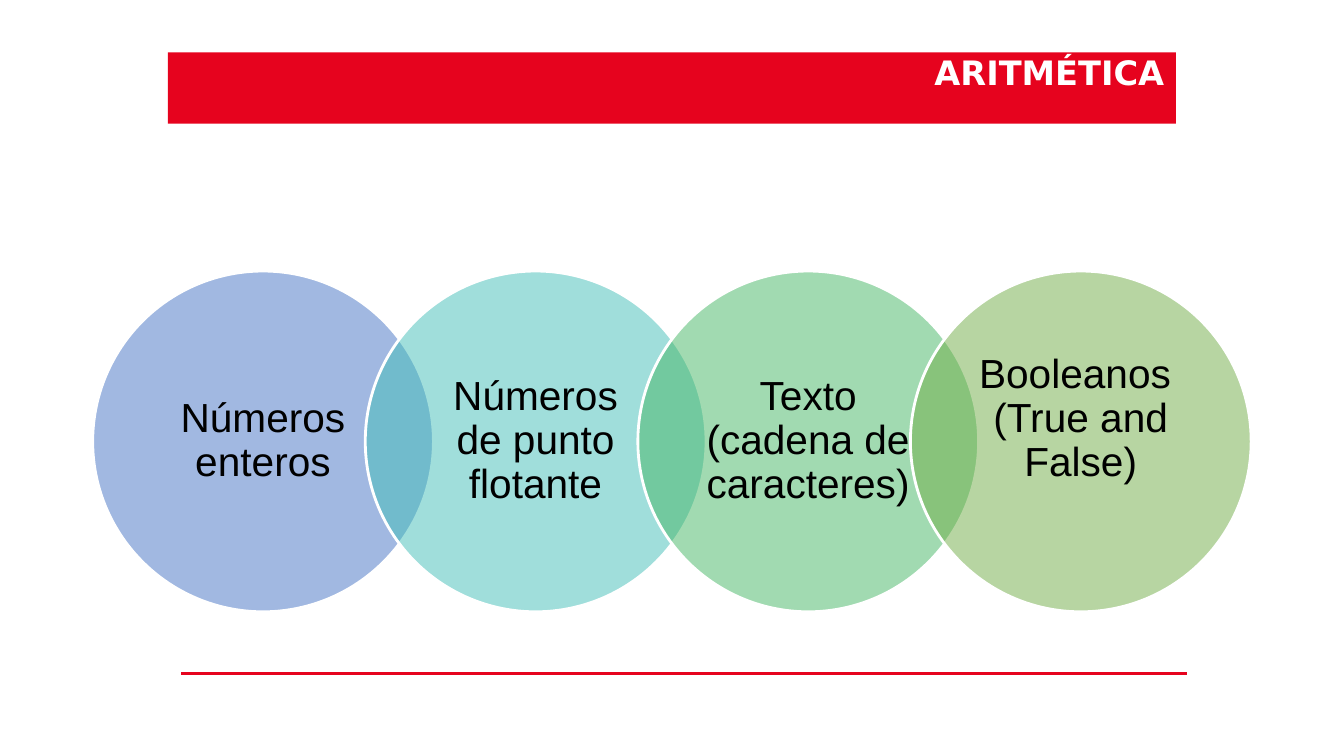
from lxml import etree
from pptx import Presentation
from pptx.dml.color import RGBColor
from pptx.enum.shapes import MSO_CONNECTOR, MSO_SHAPE
from pptx.enum.text import MSO_ANCHOR, MSO_AUTO_SIZE, PP_ALIGN
from pptx.oxml.ns import qn
from pptx.util import Pt

ELLIPSE = MSO_SHAPE.OVAL
STRAIGHT = MSO_CONNECTOR.STRAIGHT
TOP, MIDDLE = MSO_ANCHOR.TOP, MSO_ANCHOR.MIDDLE
CENTER, RIGHT = PP_ALIGN.CENTER, PP_ALIGN.RIGHT
NO_FIT = MSO_AUTO_SIZE.NONE

RED, WHITE, BLACK = "E6031E", "FFFFFF", "000000"
DIAMETER, PITCH = 243.4, 194.7
FIRST_LEFT, CIRCLE_TOP = 66.2, 193.6
EMPTY_LINE = 31.4

DATA_TYPES = [
    ("Números enteros", "4472C4", 0),
    ("Números de punto flotante", "43BEB9", 0),
    ("Texto (cadena de caracteres)", "45B664", 0),
    ("Booleanos \v(True and False)", "70AD47", EMPTY_LINE),
]


def set_attrs(obj, values):
    for name, value in values.items():
        setattr(obj, name, value)


def paint(color_format, color):
    color_format.rgb = RGBColor.from_string(color)


def fill_shape(shape, color, alpha=None):
    shape.fill.solid()
    paint(shape.fill.fore_color, color)
    if alpha is not None:
        srgb = shape._element.spPr.find(qn("a:solidFill")).find(qn("a:srgbClr"))
        etree.SubElement(srgb, qn("a:alpha")).set("val", str(alpha * 1000))


def write(shape, text, frame, paragraph, font, color):
    tf = shape.text_frame
    tf.text = text
    set_attrs(tf, {"word_wrap": True, "auto_size": NO_FIT, **frame})
    p = tf.paragraphs[0]
    set_attrs(p, paragraph)
    for r in p.runs:
        set_attrs(r.font, font)
        paint(r.font.color, color)


def add_title(s, text):
    title = s.shapes.title
    set_attrs(title, {"left": Pt(120), "top": Pt(37.4),
                      "width": Pt(720), "height": Pt(51)})
    fill_shape(title, RED)
    write(title, text,
          {"vertical_anchor": TOP, "margin_left": 0, "margin_top": 0,
           "margin_right": Pt(8.4), "margin_bottom": 0},
          {"alignment": RIGHT},
          {"name": "DejaVu Sans", "size": Pt(24), "bold": True}, WHITE)


def add_circle(s, index, text, color, lift):
    sp = s.shapes.add_shape(ELLIPSE, Pt(FIRST_LEFT + index * PITCH),
                            Pt(CIRCLE_TOP), Pt(DIAMETER), Pt(DIAMETER))
    sp.shadow.inherit = False
    fill_shape(sp, color, alpha=50)
    sp.line.width = Pt(2)
    paint(sp.line.color, WHITE)
    write(sp, text,
          {"vertical_anchor": MIDDLE, "margin_left": Pt(12),
           "margin_right": Pt(12), "margin_top": Pt(3),
           "margin_bottom": Pt(3 + lift)},
          {"alignment": CENTER, "line_spacing": 0.9},
          {"name": "Arial", "size": Pt(29)}, BLACK)


def add_rule(s, left, right, y):
    rule = s.shapes.add_connector(STRAIGHT, Pt(left), Pt(y), Pt(right), Pt(y))
    rule.line.width = Pt(2.25)
    paint(rule.line.color, RED)
    etree.SubElement(rule._element.spPr, qn("a:effectLst"))


def main():
    prs = Presentation()
    set_attrs(prs, {"slide_width": Pt(960), "slide_height": Pt(540)})
    s = prs.slides.add_slide(prs.slide_layouts.get_by_name("Title Only"))
    add_title(s, "ARITMÉTICA")
    add_rule(s, 129.6, 848.2, 481.2)
    for index, (text, color, lift) in enumerate(DATA_TYPES):
        add_circle(s, index, text, color, lift)
    prs.save("out.pptx")


if __name__ == "__main__":
    main()
